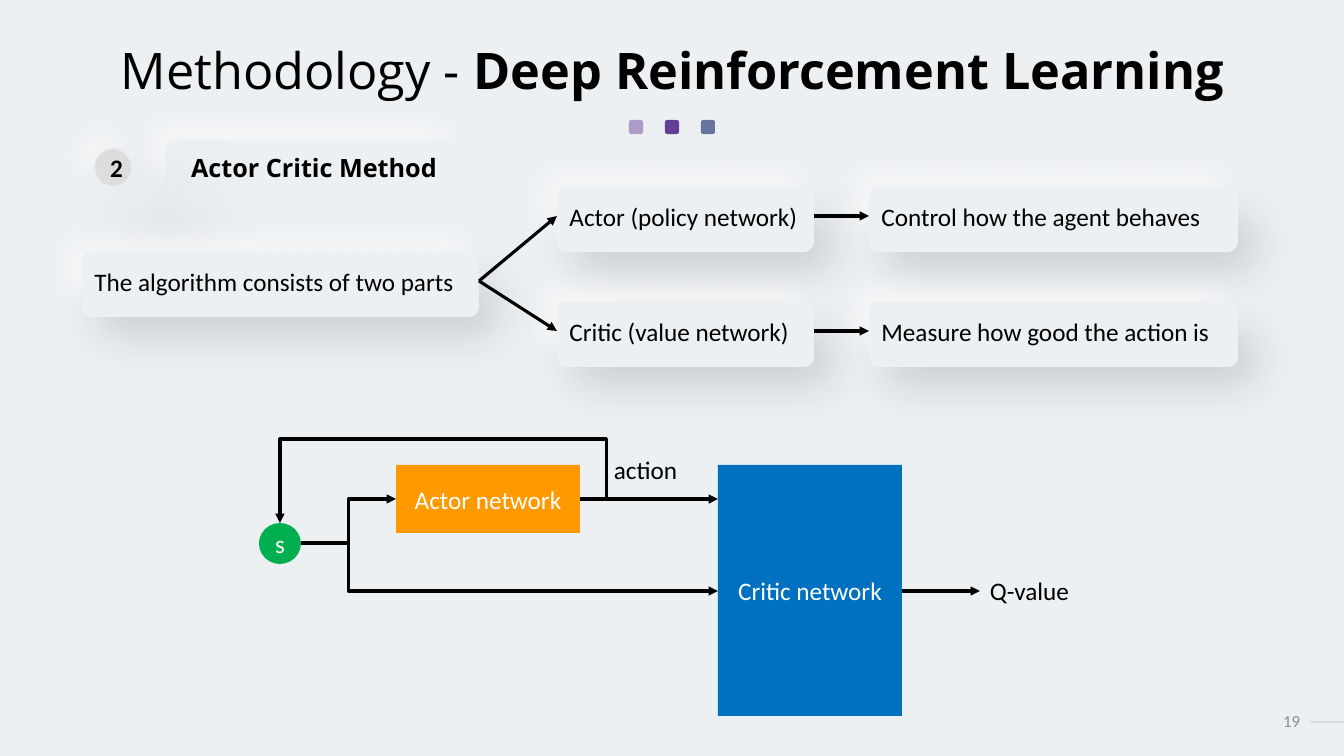
from lxml.etree import SubElement
from pptx import Presentation
from pptx.dml.color import RGBColor
from pptx.enum.shapes import MSO_CONNECTOR, MSO_SHAPE
from pptx.enum.text import MSO_ANCHOR, PP_ALIGN
from pptx.oxml.ns import qn
from pptx.util import Emu, Pt

BACKGROUND = RGBColor(0xED, 0xF0, 0xF3)
PANEL = RGBColor(0xEC, 0xF0, 0xF3)
BLACK = RGBColor(0x00, 0x00, 0x00)
NEAR_BLACK = RGBColor(0x0D, 0x0D, 0x0D)
WHITE = RGBColor(0xFF, 0xFF, 0xFF)
SILVER = RGBColor(0xDD, 0xDD, 0xDD)
GREY = RGBColor(0x8C, 0x8C, 0x8C)
LILAC = RGBColor(0xAE, 0x9C, 0xC8)
PURPLE = RGBColor(0x62, 0x3E, 0x95)
SLATE = RGBColor(0x67, 0x74, 0xA0)
ORANGE = RGBColor(0xFF, 0x99, 0x00)
BLUE = RGBColor(0x00, 0x70, 0xC0)
GREEN = RGBColor(0x00, 0xB0, 0x50)

WIDTH, HEIGHT = 1344, 756
SCALE = 12192000 / WIDTH
HIGHLIGHT = (WHITE, 50, 20, 15, 225)
LOW_SHADOW = (NEAR_BLACK, 14, 32, 18, 45)
BADGE_SHADOW = (BLACK, 25, 63, 55, 45)


def px(*lengths):
    return [Emu(round(n * SCALE)) for n in lengths]


class Deck:
    font = "Calibri"
    heading_font = "Open Sans"
    size = 18

    def __init__(self):
        self.prs = Presentation()
        self.prs.slide_width, self.prs.slide_height = px(WIDTH, HEIGHT)
        self.s = self.prs.slides.add_slide(self.prs.slide_layouts[6])
        fill = self.s.background.fill
        fill.solid()
        fill.fore_color.rgb = BACKGROUND

    def set_text(self, sp, runs, color=BLACK, align=PP_ALIGN.CENTER, font=None,
                 size=None, bold=False, anchor=MSO_ANCHOR.MIDDLE, wrap=True):
        tf = sp.text_frame
        tf.word_wrap = wrap
        tf.vertical_anchor = anchor
        p = tf.paragraphs[0]
        p.alignment = align
        p.font.name = font or self.font
        p.font.size = Pt(size or self.size)
        p.font.color.rgb = color
        p.font.bold = bold
        for text, strong in runs:
            r = p.add_run()
            r.text = text
            if strong:
                r.font.bold = True
        return p

    def text(self, x, y, w, h, *runs, **style):
        sp = self.s.shapes.add_textbox(*px(x, y, w, h))
        return self.set_text(sp, runs, **style)

    def label(self, x, y, w, text):
        self.text(x, y, w, 41, (text, False), align=PP_ALIGN.LEFT,
                  anchor=MSO_ANCHOR.TOP, wrap=False)

    def shape(self, kind, x, y, w, h, fill, text=None, adj=None, shadow=None, **style):
        sp = self.s.shapes.add_shape(kind, *px(x, y, w, h))
        sp.shadow.inherit = False
        sp.fill.solid()
        sp.fill.fore_color.rgb = fill
        sp.line.fill.background()
        if adj is not None:
            sp.adjustments[0] = adj
        if shadow:
            self.cast(sp, *shadow)
        if text:
            self.set_text(sp, [(text, False)], **style)

    def cast(self, sp, color, opacity, blur, distance, angle):
        effects = sp._element.spPr.find(qn("a:effectLst"))
        outer = SubElement(effects, qn("a:outerShdw"), blurRad=str(Pt(blur)),
                           dist=str(Pt(distance)), dir=str(angle * 60000),
                           algn="ctr", rotWithShape="0")
        tone = SubElement(outer, qn("a:srgbClr"), val=str(color))
        SubElement(tone, qn("a:alpha"), val=str(opacity * 1000))

    def panel(self, x, y, w, text):
        kind = MSO_SHAPE.ROUNDED_RECTANGLE
        self.shape(kind, x, y + 13, w, 52, PANEL, adj=0.2, shadow=LOW_SHADOW)
        self.shape(kind, x, y, w, 58, PANEL, text, adj=0.15, shadow=HIGHLIGHT,
                   align=PP_ALIGN.JUSTIFY)

    def line(self, start, end, bends=(), color=BLACK, width=2.25, arrow=True):
        kind = MSO_CONNECTOR.ELBOW if bends else MSO_CONNECTOR.STRAIGHT
        c = self.s.shapes.add_connector(kind, *px(*start, *end))
        c.line.color.rgb = color
        c.line.width = Pt(width)
        spPr = c._element.spPr
        if bends:
            geometry = spPr.find(qn("a:prstGeom"))
            geometry.set("prst", f"bentConnector{len(bends) + 2}")
            guides = geometry.find(qn("a:avLst"))
            if guides is None:
                guides = SubElement(geometry, qn("a:avLst"))
            for i, bend in enumerate(bends, 1):
                SubElement(guides, qn("a:gd"), name=f"adj{i}",
                           fmla=f"val {round(bend * 100000)}")
        if arrow:
            SubElement(spPr.find(qn("a:ln")), qn("a:tailEnd"), type="triangle")
        SubElement(spPr, qn("a:effectLst"))


def main():
    d = Deck()
    d.line((1310, 722), (1344, 722), color=SILVER, width=1.5, arrow=False)
    d.text(1252, 701, 58, 40, ("19", False), color=GREY, size=12, align=PP_ALIGN.RIGHT)
    for i, color in enumerate((LILAC, PURPLE, SLATE)):
        d.shape(MSO_SHAPE.ROUNDED_RECTANGLE, 629 + 36 * i, 120, 14, 14, color)
    title = d.text(93, 40, 1159, 66, ("Methodology - ", False),
                   ("Deep Reinforcement Learning", True), font=d.heading_font, size=36)
    title.line_spacing = 0.9

    d.shape(MSO_SHAPE.ROUNDED_RECTANGLE, 165, 140, 298, 55, PANEL, "Actor Critic Method",
            adj=0.2, shadow=HIGHLIGHT, font=d.heading_font, bold=True)
    d.shape(MSO_SHAPE.OVAL, 93, 147, 42, 42, BACKGROUND, shadow=HIGHLIGHT)
    d.shape(MSO_SHAPE.OVAL, 95, 149, 36, 37, SILVER, "2", shadow=BADGE_SHADOW, bold=True)

    d.shape(MSO_SHAPE.RECTANGLE, 396, 465, 184, 68, ORANGE, "Actor network", color=WHITE)
    d.shape(MSO_SHAPE.RECTANGLE, 718, 465, 184, 251, BLUE, "Critic network", color=WHITE)
    d.line((580, 499), (718, 499))
    d.shape(MSO_SHAPE.OVAL, 259, 523, 42, 41, GREEN, "s", color=WHITE)
    d.line((301, 543), (718, 591), bends=(0.114,))
    d.line((301, 543), (396, 499), bends=(0.5,))
    d.label(604, 449, 88, "action")
    d.line((902, 591), (980, 591))
    d.label(980, 570, 105, "Q-value")
    d.line((580, 499), (280, 523), bends=(-0.088, -2.5))

    d.panel(82, 252, 397, "The algorithm consists of two parts")
    for y, network, role in (
        (187, "Actor (policy network)", "Control how the agent behaves"),
        (302, "Critic (value network)", "Measure how good the action is"),
    ):
        d.panel(557, y, 257, network)
        d.panel(869, y, 369, role)
        d.line((479, 281), (557, y + 29))
        d.line((814, y + 29), (869, y + 29))
    d.prs.save("out.pptx")


if __name__ == "__main__":
    main()
